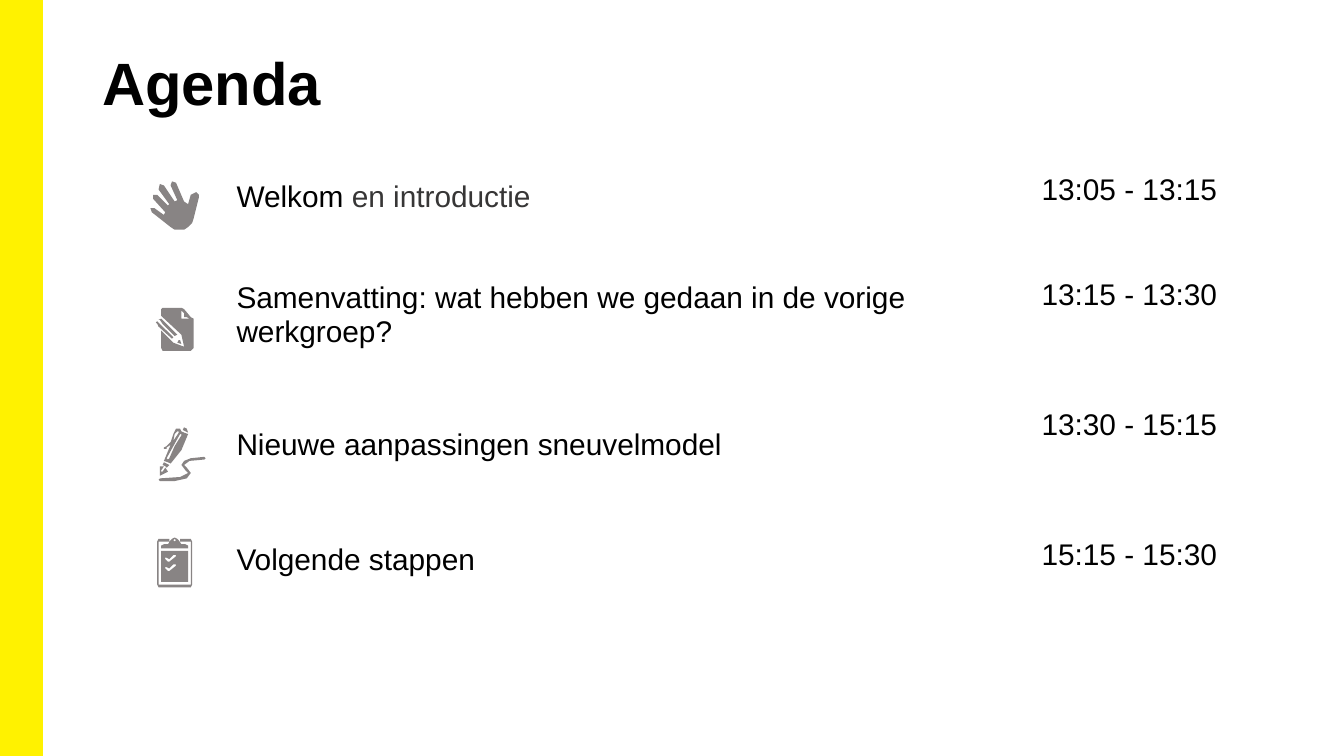
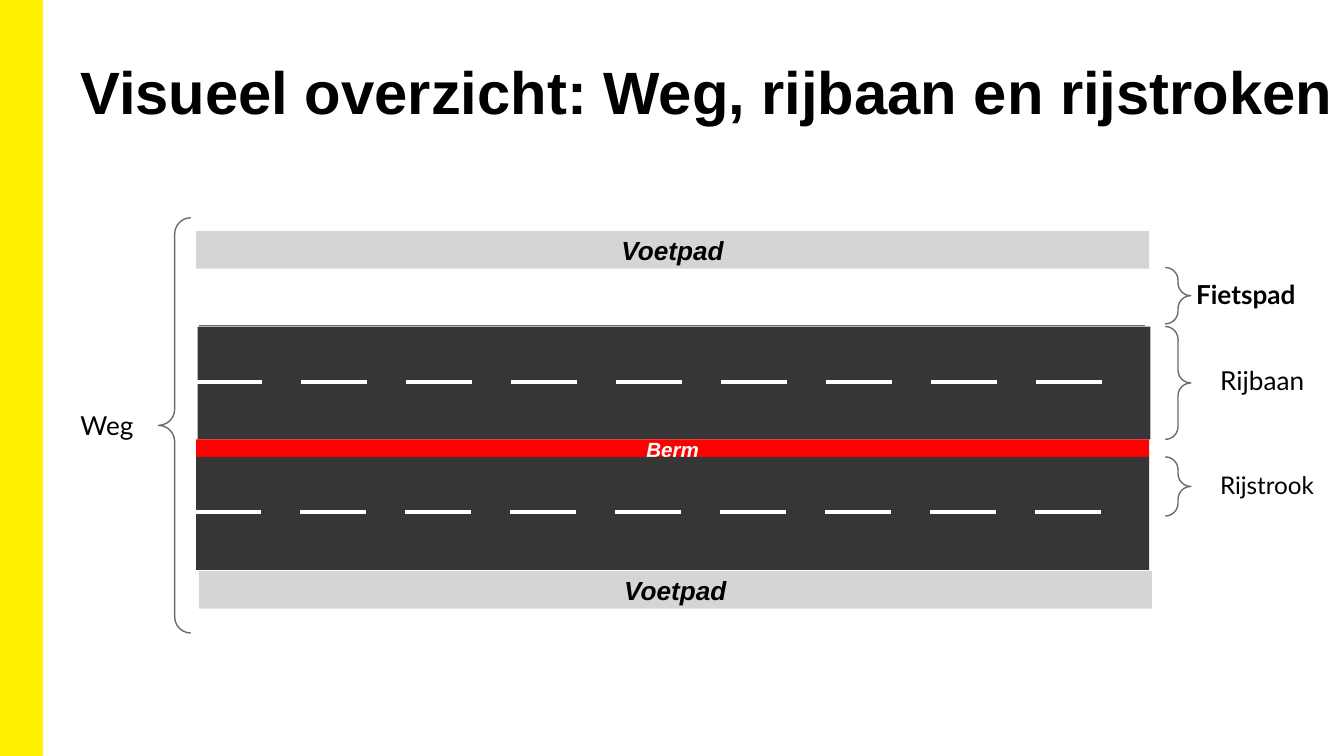
from lxml import etree
from pptx import Presentation
from pptx.dml.color import RGBColor
from pptx.enum import shapes, text
from pptx.oxml import ns
from pptx.util import Inches, Pt

WIDE = 10
HIGH = WIDE * 9 / 16
HUES = {
    "band": "FFF200", "ink": "000000", "soft": "373636", "icon": "888484",
    "path": "D5D5D5", "verge": "FF0000", "edge": "6B6B6B", "white": "FFFFFF",
}
KIND = shapes.MSO_SHAPE
CENTER = text.PP_ALIGN.CENTER
MIDDLE = text.MSO_ANCHOR.MIDDLE

# Icon outlines in hundredths of an inch; inner outlines cut holes.
HAND = [
    [(34, 9), (30, 11), (28, 18), (25, 16), (19, 2), (16, 1), (15, 4), (20, 15),
     (18, 16), (10, 4), (7, 3), (6, 7), (14, 18), (13, 19), (5, 11), (2, 11),
     (2, 14), (11, 24), (10, 26), (3, 21), (0, 21), (1, 24), (15, 35), (18, 37),
     (22, 37), (25, 37), (28, 35), (31, 32), (32, 29), (36, 13), (36, 11)],
]
NOTE = [
    [(26, 7), (21, 1), (19, 0), (5, 0), (4, 1), (4, 6), (5, 7), (19, 20), (21, 29),
     (13, 26), (4, 17), (4, 30), (5, 32), (26, 32), (28, 30), (28, 8)],
    [(19, 8), (19, 2), (21, 4), (21, 7), (23, 7), (25, 8)],
    [(4, 13), (13, 22), (12, 23), (2, 14), (1, 12), (0, 11), (1, 10), (2, 11)],
    [(4, 8), (2, 9), (3, 9), (5, 12), (14, 21), (16, 20), (6, 10)],
    [(18, 24), (17, 24), (16, 26), (19, 27)],
]
PEN = [
    [(4, 16), (6, 16), (6, 15), (9, 13), (4, 25), (7, 26), (9, 27), (17, 17), (22, 5),
     (19, 4), (17, 3), (16, 1), (13, 1), (11, 5), (9, 11), (6, 14), (4, 15)],
    [(16, 5), (17, 5), (17, 6), (12, 14), (8, 23), (7, 24), (6, 23), (11, 14)],
    [(12, 5), (14, 3), (15, 3), (15, 4), (11, 10)],
    [(5, 29), (3, 28), (4, 26), (8, 28), (6, 30)],
    [(22, 4), (18, 2), (19, 0), (21, 1)],
    [(35, 23), (34, 24), (23, 25), (19, 28), (21, 30), (24, 34), (21, 38), (12, 40),
     (1, 40), (0, 39), (1, 38), (16, 37), (22, 34), (20, 32), (17, 28), (19, 25),
     (24, 23), (34, 22)],
    [(7, 33), (1, 36), (1, 29), (4, 29), (2, 32), (2, 33), (3, 33), (5, 30)],
]
TICK = [(14, 13), (12, 13), (9, 16), (7, 15), (6, 15), (6, 16), (8, 18), (9, 18), (14, 14)]
LIST = [
    [(26, 3), (26, 35), (25, 37), (1, 37), (0, 35), (0, 3), (1, 1), (9, 1), (9, 3),
     (1, 3), (1, 35), (25, 35), (25, 3), (17, 3), (17, 1), (25, 1)],
    [(23, 10), (23, 33), (3, 33), (3, 10)],
    TICK,
    [(x, y + 7) for x, y in TICK],
    [(3, 6), (5, 5), (8, 5), (10, 2), (11, 1), (13, 0), (15, 1), (16, 2), (18, 5),
     (21, 5), (23, 6), (23, 8), (3, 8)],
    [(12, 2), (13, 3), (14, 2), (13, 1)],
]
ICONS = [(HAND, 1.12, 1.34), (NOTE, 1.16, 2.29), (PEN, 1.18, 3.18), (LIST, 1.17, 4)]

# Row height, parts of the topic with their colours, time
AGENDA = [
    (0.78, [("Welkom", "ink"), (" en introductie", "soft")], "13:05 - 13:15"),
    (0.97, [("Samenvatting: wat hebben we gedaan in de vorige werkgroep?", "ink")],
     "13:15 - 13:30"),
    (0.97, [("Nieuwe aanpassingen sneuvelmodel", "ink")], "13:30 - 15:15"),
    (0.73, [("Volgende stappen", "ink")], "15:15 - 15:30"),
]


def hue(name):
    return RGBColor.from_string(HUES[name])


def style(run, size, color="ink", face="Arial", bold=False, slant=False):
    font = run.font
    font.size, font.name = Pt(size), face
    font.bold, font.italic = bold, slant
    font.color.rgb = hue(color)


def inset(frame, side=0.1, top=0.1):
    frame.word_wrap = True
    frame.margin_left = frame.margin_right = Inches(side)
    frame.margin_top = frame.margin_bottom = Inches(top)


def paint(shape, fill=None, line=None, width=0.75):
    shape.shadow.inherit = False
    if fill:
        shape.fill.solid()
        shape.fill.fore_color.rgb = hue(fill)
    else:
        shape.fill.background()
    if line:
        shape.line.color.rgb = hue(line)
        shape.line.width = Pt(width)
    else:
        shape.line.fill.background()


def block(slide, box, fill=None, line=None, width=0.75, kind=KIND.RECTANGLE):
    shape = slide.shapes.add_shape(kind, *map(Inches, box))
    paint(shape, fill, line, width)
    return shape


def write(frame, words, size, align=None, **look):
    frame.text = words
    para = frame.paragraphs[0]
    para.alignment = align
    style(para.runs[0], size, **look)
    return para


def label(slide, box, words, size, side=0.1, top=0.1, **look):
    frame = slide.shapes.add_textbox(*map(Inches, box)).text_frame
    inset(frame, side, top)
    return write(frame, words, size, **look)


def strip(slide, box, fill, words, size, color="ink"):
    """Coloured lane with a centred name."""
    frame = block(slide, box, fill).text_frame
    inset(frame)
    frame.vertical_anchor = MIDDLE
    write(frame, words, size, CENTER, color=color, bold=True, slant=True)


def rule(slide, x, y, length, color, width):
    line = slide.shapes.add_connector(
        shapes.MSO_CONNECTOR.STRAIGHT, *map(Inches, (x, y, x + length, y)))
    line.line.color.rgb = hue(color)
    line.line.width = Pt(width)
    etree.SubElement(line._element.spPr, ns.qn("a:effectLst"))


def brace(slide, box, kind=KIND.RIGHT_BRACE):
    shape = block(slide, box, line="edge", kind=kind)
    shape.adjustments[0] = shape.adjustments[1] = 0.5


def icon(slide, loops, x, y):
    (first, *rest), *holes = loops
    pen = slide.shapes.build_freeform(*first, scale=Inches(0.01))
    pen.add_line_segments(rest, close=True)
    for start, *points in holes:
        pen.move_to(*start)
        pen.add_line_segments(points, close=True)
    paint(pen.convert_to_shape(Inches(x), Inches(y)), "icon")


def road(slide, x, y):
    """Dark carriageway with a dashed centre line."""
    block(slide, (x, y, 7.09, 0.84), "soft")
    for i in range(9):
        rule(slide, x - 0.01 + 6.25 / 8 * i, y + 0.41, 0.49, "white", 2.25)


def times(slide, x, y):
    high = sum(row[0] for row in AGENDA)
    table = slide.shapes.add_table(
        len(AGENDA), 2, *map(Inches, (x, y, 7.51, high))).table
    table.first_row = table.horz_banding = False
    for col, wide in zip(table.columns, (5.99, 1.52)):
        col.width = Inches(wide)
    for row, (high, topic, time) in zip(table.rows, AGENDA):
        row.height = Inches(high)
        for cell, parts in zip(row.cells, (topic, [(time, "ink")])):
            cell.fill.background()
            cell.margin_left = cell.margin_right = Inches(0.1)
            cell.margin_top = cell.margin_bottom = Inches(0.1)
            for words, color in parts:
                run = cell.text_frame.paragraphs[0].add_run()
                run.text = words
                style(run, 16, color)
        row.cells[0].vertical_anchor = MIDDLE
        row.cells[0].margin_bottom = Inches(0.32)


def page(deck):
    slide = deck.slides.add_slide(deck.slide_layouts[6])
    block(slide, (0, 0, 0.31, HIGH), "band", "band", 1)
    return slide


def agenda(deck):
    slide = page(deck)
    label(slide, (0.69, 0.3, 8.62, 0.81), "Agenda", 32, 0.07, 0.04, bold=True)
    for loops, x, y in ICONS:
        icon(slide, loops, x, y)
    times(slide, 1.66, 1.19)


def layers(slide, x, y):
    """Cross-section of the street, from top to bottom."""
    strip(slide, (x, y, 7.09, 0.28), "path", "Voetpad", 14)
    road(slide, x + 0.01, y + 0.71)
    rule(slide, x + 0.02, y + 0.7, 7.04, "edge", 0.75)
    strip(slide, (x, y + 1.55, 7.09, 0.14), "verge", "Berm", 11, "white")
    road(slide, x, y + 1.68)
    strip(slide, (x + 0.02, y + 2.53, 7.09, 0.28), "path", "Voetpad", 14)


def names(slide, x, y):
    """Braces and names to the right of the street."""
    for top, high in ((0, 0.42), (0.44, 0.84), (1.41, 0.44)):
        brace(slide, (x, y + top, 0.19, high))
    label(slide, (x + 0.04, y - 0.02, 1.12, 0.44), "Fietspad", 14,
          align=CENTER, face="Lato", bold=True)
    label(slide, (x + 0.31, y + 0.62, 0.91, 0.44), "Rijbaan", 14, face="Lato")
    label(slide, (x + 0.31, y + 1.41, 0.91, 0.42), "Rijstrook", 13, face="Lato")


def street(deck):
    slide = page(deck)
    title = label(slide, (0.5, 0.29, 9.74, 0.92),
                  "Visueel overzicht: Weg, rijbaan en rijstroken", 32, bold=True)
    title.line_spacing = 1.03
    layers(slide, 1.46, 1.72)
    brace(slide, (1.18, 1.62, 0.24, 3.09), KIND.LEFT_BRACE)
    label(slide, (0.5, 2.95, 0.62, 0.44), "Weg", 14, face="Lato")
    names(slide, 8.67, 1.99)


def main():
    deck = Presentation()
    deck.slide_width, deck.slide_height = Inches(WIDE), Inches(HIGH)
    agenda(deck)
    street(deck)
    deck.save("out.pptx")


if __name__ == "__main__":
    main()
